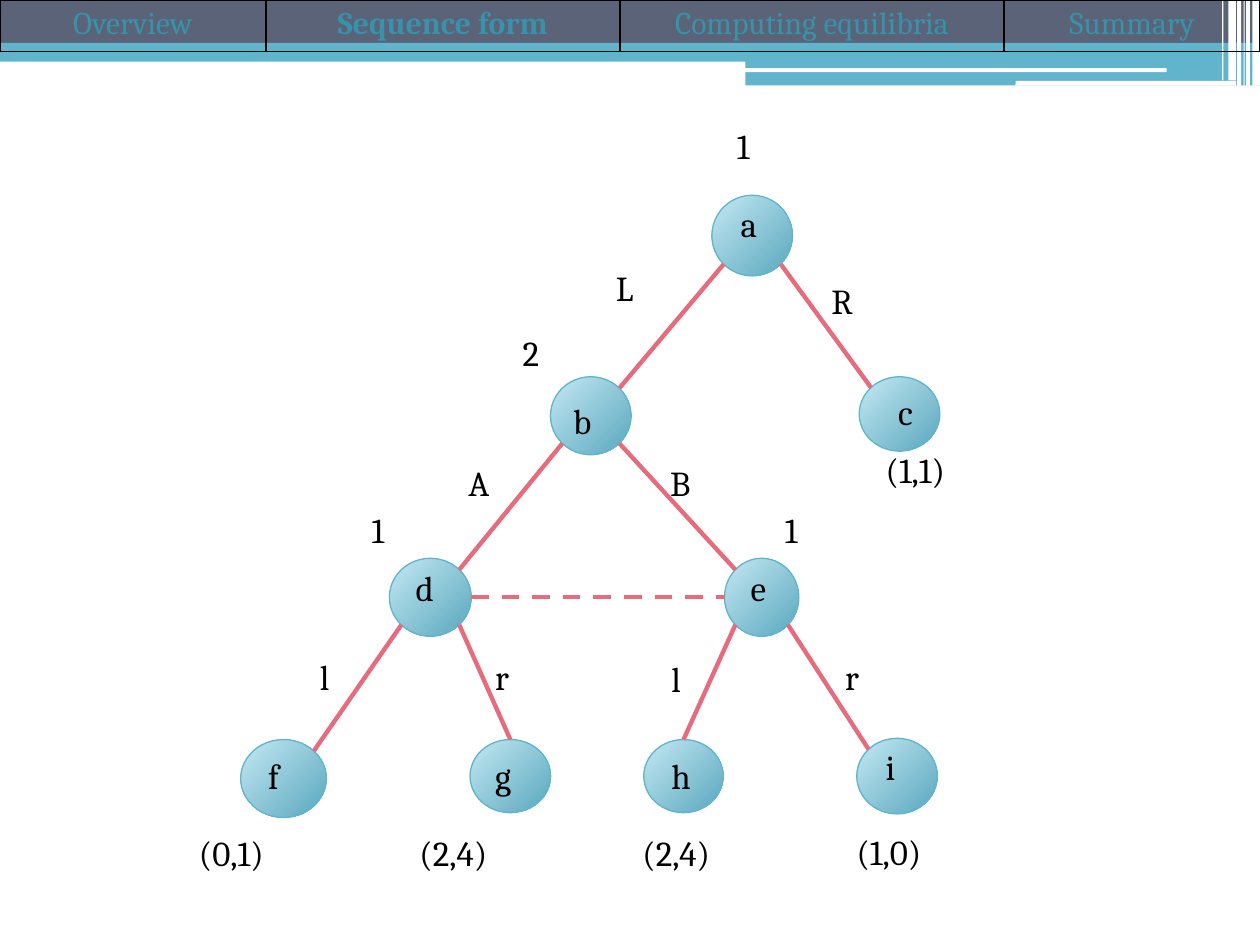
from math import sqrt

from lxml import etree
from pptx import Presentation
from pptx.dml.color import RGBColor
from pptx.enum.dml import MSO_LINE
from pptx.enum.shapes import MSO_CONNECTOR, MSO_SHAPE
from pptx.enum.text import PP_ALIGN
from pptx.oxml.ns import qn
from pptx.util import Pt

TEAL = RGBColor(0x60, 0xB5, 0xCC)
SLATE = RGBColor(0x5A, 0x63, 0x78)
WHITE = RGBColor(0xFF, 0xFF, 0xFF)
BLACK = RGBColor(0, 0, 0)
TAB_TEXT = RGBColor(0x37, 0x92, 0xAA)
NODE_LIGHT = RGBColor(0xC5, 0xE8, 0xF3)
NODE_DARK = RGBColor(0x59, 0xA8, 0xBE)
EDGE = RGBColor(0xE6, 0x6C, 0x7D)

RECT = MSO_SHAPE.RECTANGLE
ROUNDED = MSO_SHAPE.ROUNDED_RECTANGLE
OVAL = MSO_SHAPE.OVAL
STRAIGHT = MSO_CONNECTOR.STRAIGHT
DASH = MSO_LINE.DASH
CENTER = PP_ALIGN.CENTER
FONT = "Cambria"

BANDS = [
    (RECT, 0, 28.8, 720, 6.5, TEAL),
    (RECT, 0, 0, 720, 24.5, SLATE),
    (RECT, 0, 24.5, 720, 7.2, TEAL),
    (RECT, 426, 28.1, 294, 7.2, TEAL),
    (RECT, 426, 34.6, 294, 14.2, TEAL),
    (ROUNDED, 425.5, 39, 241.2, 2.2, WHITE),
    (ROUNDED, 580.3, 46.2, 126, 2.7, WHITE),
]
STRIPES = [(715.7, 4.3, 49), (712.1, 2.2, 49), (710.6, 0.7, 49),
           (707, 2.2, 49), (702, 4.3, 46), (698.4, 0.7, 46)]

TABS = [("Overview", 151.9), ("Sequence form", 202.3),
        ("Computing equilibria", 219.6), ("Summary", 146.2)]
CURRENT_TAB = "Sequence form"
TAB_HEIGHT = 29.5

NODES = {
    "a": (406.8, 111.6, 46.1, 46.1),
    "b": (314.6, 215.3, 46.1, 44.6),
    "c": (491, 215.3, 46.1, 42.5),
    "d": (222.5, 319, 46.8, 44.6),
    "e": (414, 319, 42.5, 44.6),
    "f": (137.5, 422.6, 49, 44.6),
    "g": (268.6, 422.6, 46.1, 41.8),
    "h": (367.9, 422.6, 45.4, 41.8),
    "i": (489.6, 421.9, 46.1, 43.2),
}
DIAGONAL = 1 / sqrt(2)
SIDES = {
    "top": (0, -1), "left": (-1, 0), "right": (1, 0),
    "top left": (-DIAGONAL, -DIAGONAL), "top right": (DIAGONAL, -DIAGONAL),
    "bottom left": (-DIAGONAL, DIAGONAL), "bottom right": (DIAGONAL, DIAGONAL),
}
MOVES = [
    ("a", "bottom left", "b", "top right"),
    ("a", "bottom right", "c", "top left"),
    ("b", "bottom left", "d", "top right"),
    ("b", "bottom right", "e", "top left"),
    ("d", "bottom left", "f", "top right"),
    ("d", "bottom right", "g", "top"),
    ("e", "bottom left", "h", "top"),
    ("e", "bottom right", "i", "top left"),
]
INFORMATION_SET = ("d", "right", "e", "left")

ACTIONS = [("L", 344.9, 149), ("R", 468, 156.2), ("A", 260.6, 259.9),
           ("B", 375.8, 259.9), ("l", 175.7, 370.8), ("l", 376.6, 372.2),
           ("r", 275.8, 370.8), ("r", 475.9, 370.8)]
PLAYERS = [("1", 414, 67.7), ("1", 205.2, 287.3), ("1", 441.4, 287.3),
           ("2", 291.6, 185.8)]
PAYOFFS = [("(0,1)", 106.6, 471.6), ("(1,0)", 482.4, 470.9),
           ("(2,4)", 232.6, 471.6), ("(2,4)", 360, 471.6),
           ("(1,1)", 499, 252.7)]
NODE_NAMES = [("a", 416.2, 112.3), ("b", 320.4, 224.6), ("c", 506.2, 219.6),
              ("d", 230.4, 320.4), ("e", 421.9, 320.4), ("f", 146.2, 427.7),
              ("g", 275.8, 427.7), ("h", 376.6, 427.7), ("i", 499, 422.6)]


def style_run(paragraph, size, color, bold=False):
    """Format the only run of a paragraph."""
    font = paragraph.runs[0].font
    font.name, font.size, font.bold = FONT, Pt(size), bold
    font.color.rgb = color


def add_band(slide, kind, left, top, width, height, color):
    """Add a plain filled bar without outline."""
    band = slide.shapes.add_shape(kind, Pt(left), Pt(top), Pt(width), Pt(height))
    band.shadow.inherit = False
    band.fill.solid()
    band.fill.fore_color.rgb = color
    band.line.fill.background()


def add_cell_borders(cell):
    """Draw a thin black line on every side of a cell."""
    properties = cell._tc.get_or_add_tcPr()
    for position, tag in enumerate(("a:lnL", "a:lnR", "a:lnT", "a:lnB")):
        border = etree.Element(qn(tag), w=str(Pt(1)))
        fill = etree.SubElement(border, qn("a:solidFill"))
        etree.SubElement(fill, qn("a:srgbClr"), val=str(BLACK))
        properties.insert(position, border)


def add_tabs(slide):
    """Add the navigation table across the top."""
    table = slide.shapes.add_table(
        1, len(TABS), 0, 0, Pt(720), Pt(TAB_HEIGHT)).table
    table.first_row = table.horz_banding = False
    for column, (title, width) in enumerate(TABS):
        table.columns[column].width = Pt(width)
        cell = table.cell(0, column)
        cell.fill.background()
        add_cell_borders(cell)
        cell.text_frame.text = title
        paragraph = cell.text_frame.paragraphs[0]
        paragraph.alignment = CENTER
        style_run(paragraph, 18, TAB_TEXT, title == CURRENT_TAB)


def add_node(slide, left, top, width, height):
    """Add a game-tree node with a diagonal gradient."""
    node = slide.shapes.add_shape(OVAL, Pt(left), Pt(top), Pt(width), Pt(height))
    node.shadow.inherit = False
    node.fill.gradient()
    node.fill.gradient_angle = 315
    for stop, color in zip(node.fill.gradient_stops, (NODE_LIGHT, NODE_DARK)):
        stop.color.rgb = color
    node.line.color.rgb = TEAL
    node.line.width = Pt(0.75)


def rim_point(node, side):
    """Return the point on the rim of a node at a given side."""
    left, top, width, height = NODES[node]
    across, down = SIDES[side]
    return Pt(left + width / 2 * (1 + across)), Pt(top + height / 2 * (1 + down))


def add_edge(slide, start, start_side, end, end_side):
    """Join two nodes with a straight line and return it."""
    edge = slide.shapes.add_connector(
        STRAIGHT, *rim_point(start, start_side), *rim_point(end, end_side))
    edge.line.color.rgb = EDGE
    edge.line.width = Pt(2.5)
    etree.SubElement(edge._element.spPr, qn("a:effectLst"))
    return edge


def add_label(slide, text, left, top, width):
    """Add one line of black text."""
    label = slide.shapes.add_textbox(Pt(left), Pt(top), Pt(width), Pt(31))
    label.text_frame.word_wrap = True
    label.text_frame.text = text
    style_run(label.text_frame.paragraphs[0], 20, BLACK)


def main():
    """Build the game-tree slide."""
    deck = Presentation()
    deck.slide_width, deck.slide_height = Pt(720), Pt(540)
    slide = deck.slides.add_slide(deck.slide_layouts[6])
    for band in BANDS:
        add_band(slide, *band)
    for left, width, height in STRIPES:
        add_band(slide, RECT, left, 0, width, height, WHITE)
    add_tabs(slide)
    for frame in NODES.values():
        add_node(slide, *frame)
    for move in MOVES:
        add_edge(slide, *move)
    add_edge(slide, *INFORMATION_SET).line.dash_style = DASH
    for labels, width in ((ACTIONS, 49), (PLAYERS, 49),
                          (PAYOFFS, 114.5), (NODE_NAMES, 31)):
        for text, left, top in labels:
            add_label(slide, text, left, top, width)
    deck.save("out.pptx")


if __name__ == "__main__":
    main()
